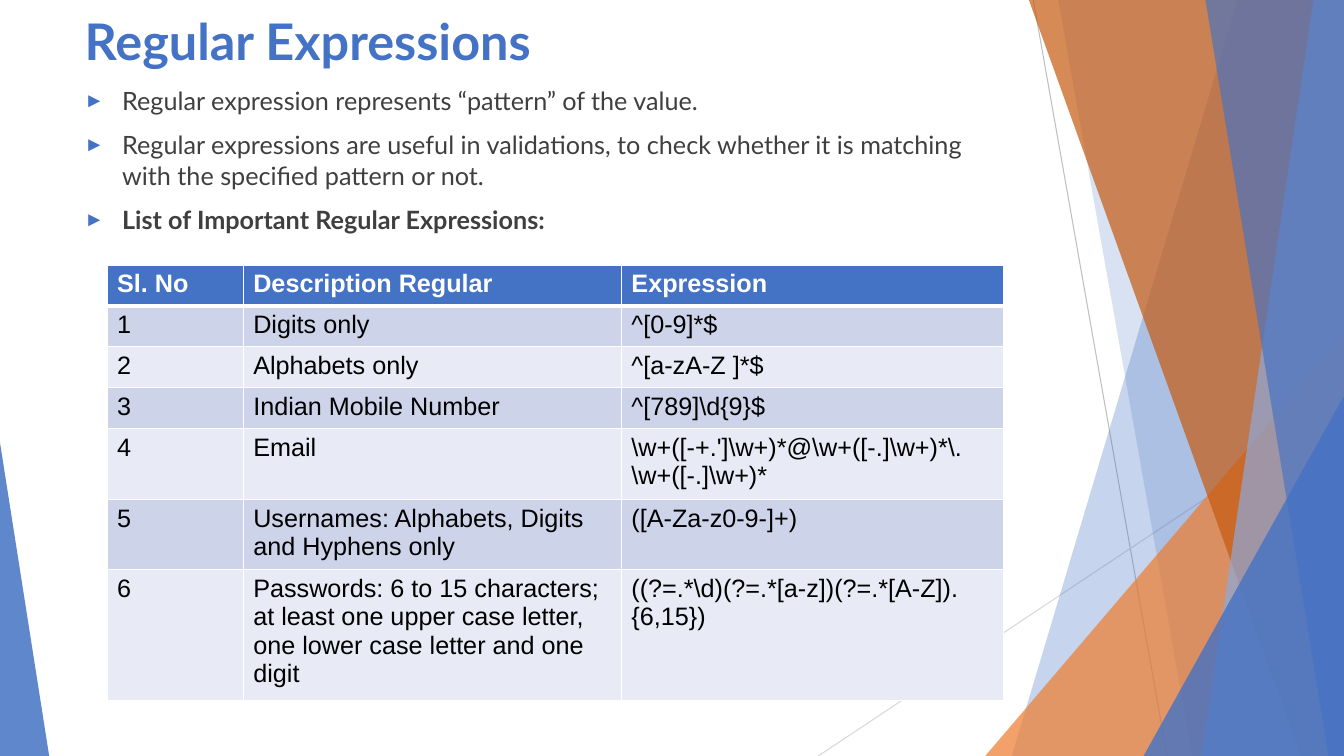
from dataclasses import dataclass

from lxml import etree
from pptx import Presentation
from pptx.dml.color import RGBColor
from pptx.enum.shapes import MSO_CONNECTOR, MSO_SHAPE
from pptx.enum.text import MSO_ANCHOR, PP_ALIGN
from pptx.oxml.ns import qn
from pptx.util import Cm, Pt

STRAIGHT = MSO_CONNECTOR.STRAIGHT
TRIANGLE = MSO_SHAPE.ISOSCELES_TRIANGLE
LEFT = PP_ALIGN.LEFT
MIDDLE, TOP = MSO_ANCHOR.MIDDLE, MSO_ANCHOR.TOP


@dataclass(frozen=True)
class Theme:
    blue: str = "4472C4"
    pale_blue: str = "8DA9DB"
    orange: str = "ED7D31"
    rust: str = "C55A11"
    text: str = "3F3F3F"
    black: str = "000000"
    white: str = "FFFFFF"
    line_dark: str = "BFBFBF"
    line_light: str = "D8D8D8"
    bands: tuple = ("CDD4EA", "E8EBF5")
    head_font: str = "Lato"
    table_font: str = "Arial"
    title_size: int = 36
    body_size: int = 18


T = Theme()
W, H = 33.87, 19.05

BULLETS = [
    ("Regular expression represents “pattern” of the value.", False),
    ("Regular expressions are useful in validations, to check whether it is "
     "matching with the specified pattern or not.", False),
    ("List of Important Regular Expressions:", True),
]
HEADER = ("Sl. No", "Description Regular", "Expression")
PATTERNS = [
    ("Digits only", r"^[0-9]*$"),
    ("Alphabets only", r"^[a-zA-Z ]*$"),
    ("Indian Mobile Number", r"^[789]\d{9}$"),
    ("Email", r"\w+([-+.']\w+)*@\w+([-.]\w+)*\.\w+([-.]\w+)*"),
    ("Usernames: Alphabets, Digits and Hyphens only", r"([A-Za-z0-9-]+)"),
    ("Passwords: 6 to 15 characters; at least one upper case letter, "
     "one lower case letter and one digit",
     r"((?=.*\d)(?=.*[a-z])(?=.*[A-Z]).{6,15})"),
]


def rgb(color):
    return RGBColor.from_string(color)


def add_run(p, text, font, size, color, bold=False):
    r = p.add_run()
    r.text = text
    r.font.name, r.font.size, r.font.bold = font, Pt(size), bold
    r.font.color.rgb = rgb(color)


def paint(sp, color, alpha):
    sp.shadow.inherit = False
    sp.line.fill.background()
    sp.fill.solid()
    sp.fill.fore_color.rgb = rgb(color)
    clr = sp.fill._xPr.find(qn("a:solidFill"))[0]
    etree.SubElement(clr, qn("a:alpha"), val=str(alpha * 1000))


def add_hairline(s, x1, y1, x2, y2, color):
    cx = s.shapes.add_connector(STRAIGHT, Cm(x1), Cm(y1), Cm(x2), Cm(y2))
    cx.line.color.rgb = rgb(color)
    cx.line.width = Pt(0.75)
    etree.SubElement(cx.element.spPr, qn("a:effectLst"))


def add_ribbon(s, box, top_x, bottom_x, color, alpha):
    x, y, w, h = box
    fb = s.shapes.build_freeform(Cm(x + top_x), Cm(y))
    fb.add_line_segments([(Cm(x + w), Cm(y)), (Cm(x + w), Cm(y + h)),
                          (Cm(x + bottom_x), Cm(y + h))])
    paint(fb.convert_to_shape(), color, alpha)


def add_corner(s, box, width, height, color, alpha, on_right=True):
    x, y, w, h = box
    left = x + w - width if on_right else x
    sp = s.shapes.add_shape(TRIANGLE, Cm(left), Cm(y + h - height),
                            Cm(width), Cm(height))
    sp.adjustments[0] = 1 if on_right else 0
    paint(sp, color, alpha)


def add_backdrop(s, box):
    x, y, w, h = box
    add_hairline(s, x + 26.04, y, x + 29.41, y + h, T.line_dark)
    add_hairline(s, x + w, y + 10.24, x + 20.62, y + h, T.line_light)
    add_ribbon(s, box, 31.19, 25.5, T.blue, 30)
    add_ribbon(s, box, 26.67, 30.05, T.blue, 20)
    add_corner(s, box, 9.04, 10.59, T.orange, 72)
    add_ribbon(s, box, 25.93, 32.79, T.rust, 70)
    add_ribbon(s, box, 33.1, 30.28, T.pale_blue, 70)
    add_ribbon(s, box, 30.38, 33.48, T.blue, 65)
    add_corner(s, box, 5.05, 9.07, T.blue, 80)
    add_corner(s, box, 1.24, 7.9, T.blue, 85, on_right=False)


def set_title(s, box, text):
    sp = s.shapes.title
    sp.element.getparent().append(sp.element)
    sp.left, sp.top, sp.width, sp.height = map(Cm, box)
    tf = sp.text_frame
    tf.word_wrap = True
    tf.vertical_anchor = MIDDLE
    p = tf.paragraphs[0]
    p.alignment = LEFT
    add_run(p, text, T.head_font, T.title_size, T.blue, True)


def add_bullets(s, box, items):
    tf = s.shapes.add_textbox(*map(Cm, box)).text_frame
    tf.word_wrap = True
    tf.vertical_anchor = TOP
    for i, (text, bold) in enumerate(items):
        p = tf.add_paragraph() if i else tf.paragraphs[0]
        p.space_before = Pt(10 if i else 0)
        pPr = p._p.get_or_add_pPr()
        pPr.set("marL", str(Cm(0.95)))
        pPr.set("indent", str(-Cm(0.95)))
        clr = etree.SubElement(pPr, qn("a:buClr"))
        etree.SubElement(clr, qn("a:srgbClr"), val=T.blue)
        etree.SubElement(pPr, qn("a:buSzPct"), val="80000")
        etree.SubElement(pPr, qn("a:buFont"), typeface=T.table_font)
        etree.SubElement(pPr, qn("a:buChar"), char="►")
        add_run(p, text, T.head_font, T.body_size, T.text, bold)


def add_borders(cell, bottom):
    tcPr = cell._tc.get_or_add_tcPr()
    for side, width in (("L", 1), ("R", 1), ("T", 1), ("B", bottom)):
        ln = etree.SubElement(tcPr, qn(f"a:ln{side}"), w=str(Pt(width)))
        fill = etree.SubElement(ln, qn("a:solidFill"))
        etree.SubElement(fill, qn("a:srgbClr"), val=T.white)


def add_pattern_table(s, box, col_widths, header, patterns):
    rows = [header] + [(str(n), *row) for n, row in enumerate(patterns, 1)]
    tbl = s.shapes.add_table(len(rows), len(header), *map(Cm, box)).table
    for col, width in zip(tbl.columns, col_widths):
        col.width = Cm(width)
    for i, row in enumerate(rows):
        head = i == 0
        fill = T.blue if head else T.bands[(i - 1) % 2]
        color = T.white if head else T.black
        for j, text in enumerate(row):
            cell = tbl.cell(i, j)
            add_borders(cell, 3 if head else 1)
            cell.fill.solid()
            cell.fill.fore_color.rgb = rgb(fill)
            add_run(cell.text_frame.paragraphs[0], text, T.table_font,
                    T.body_size, color, head)


def main():
    prs = Presentation()
    prs.slide_width, prs.slide_height = Cm(W), Cm(H)
    s = prs.slides.add_slide(prs.slide_layouts[5])
    add_backdrop(s, (0, 0, W, H))
    set_title(s, (1.88, 0, 23.88, 2.03), "Regular Expressions")
    add_bullets(s, (1.88, 2.03, 23.88, 16.41), BULLETS)
    add_pattern_table(s, (2.7, 6.68, 22.58, 7.21), (3.43, 9.53, 9.62),
                      HEADER, PATTERNS)
    prs.save("out.pptx")


if __name__ == "__main__":
    main()
